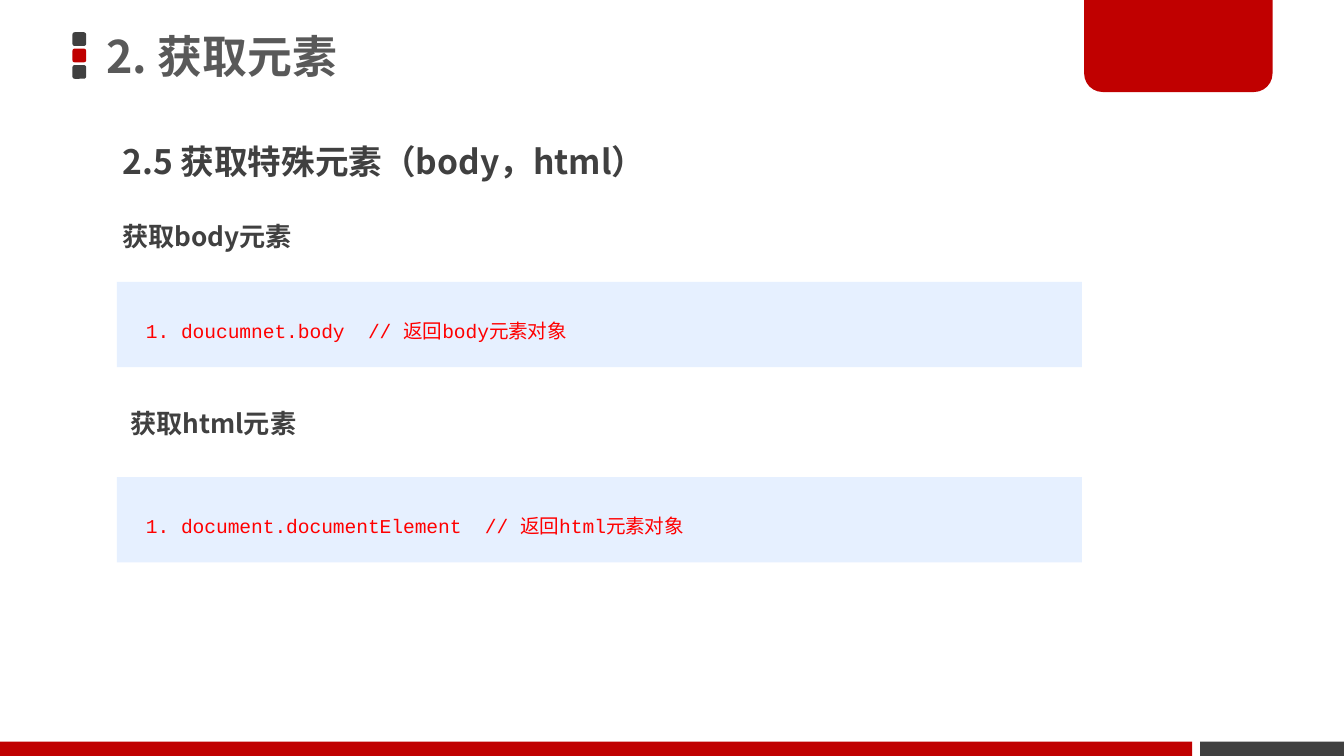
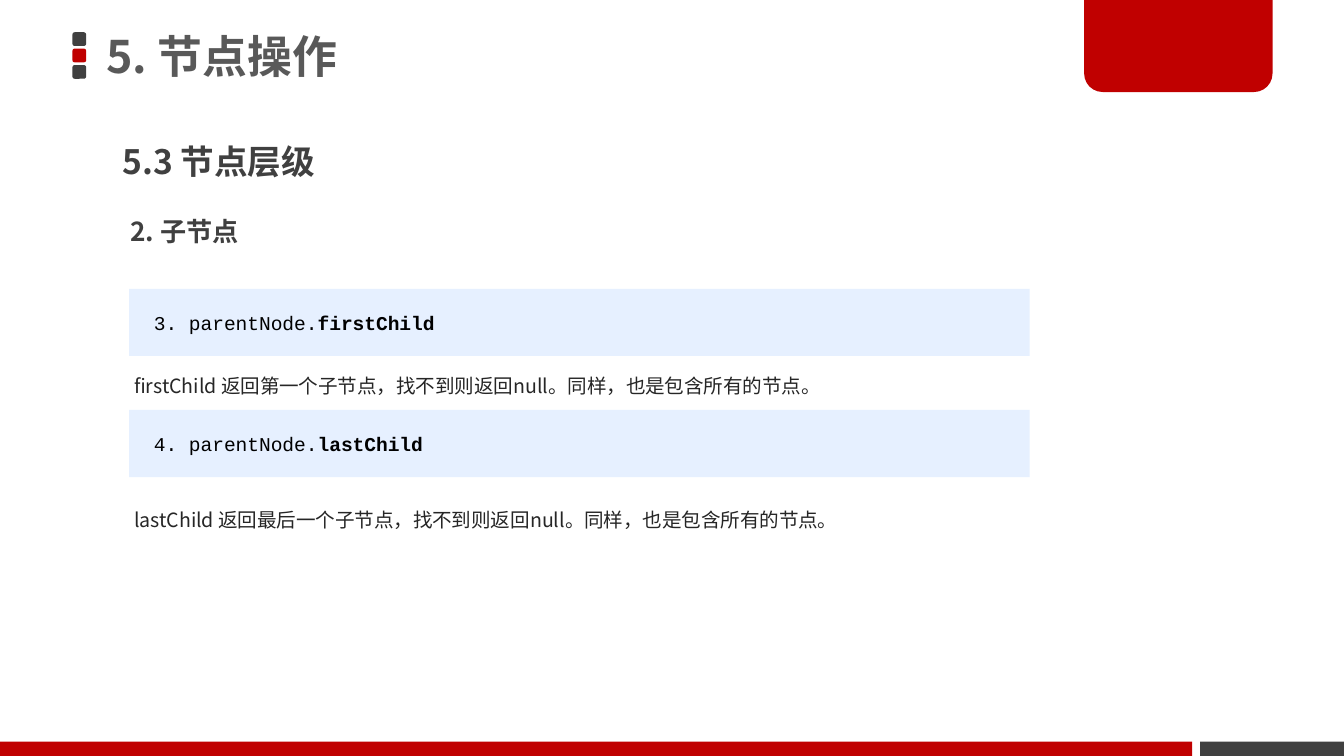
from pptx import Presentation
from pptx.dml.color import RGBColor
from pptx.enum.shapes import MSO_SHAPE
from pptx.enum.text import MSO_ANCHOR, MSO_AUTO_SIZE, PP_ALIGN
from pptx.oxml.ns import qn
from pptx.util import Cm, Pt
from lxml import etree

RECTANGLE = MSO_SHAPE.RECTANGLE
ROUNDED = MSO_SHAPE.ROUNDED_RECTANGLE
ROUND_TWO = MSO_SHAPE.ROUND_2_SAME_RECTANGLE
TOP, MIDDLE = MSO_ANCHOR.TOP, MSO_ANCHOR.MIDDLE
LEFT = PP_ALIGN.LEFT
NO_FIT = MSO_AUTO_SIZE.NONE

COLORS = {"red": "C00000", "dark": "404040", "title": "595959", "text": "262626",
          "panel": "E6F0FF", "code_red": "FF0000", "code_black": "000000"}
SANS, MONO, CHINESE = "Noto Sans CJK SC", "Courier New", "Noto Sans CJK SC"

# Text styles: font, size, bold, colour, line spacing, space before, anchor
STYLES = {
    "title": (SANS, 24, True, "title", 0.9, 0, MIDDLE),
    "section": (SANS, 18, True, "dark", 0.9, 7.5, TOP),
    "label": (SANS, 14, True, "dark", 0.9, 7.5, TOP),
    "caption": (SANS, 10.5, False, "text", 1.5, 7.5, TOP),
    "comment": (MONO, 10.5, False, "code_red", 1.5, 0, MIDDLE),
    "code": (MONO, 10.5, False, "code_black", 1.0, 0, MIDDLE),
}
CODE_INDENT = {"comment": 0.3, "code": 0.22}


def add_filled(slide, kind, box, color):
    shape = slide.shapes.add_shape(kind, *map(Cm, box))
    shape.shadow.inherit = False
    shape.fill.solid()
    shape.fill.fore_color.rgb = RGBColor.from_string(COLORS[color])
    shape.line.fill.background()
    return shape


def write(shape, text, style, bold_text="", indent=0):
    name, size, bold, color, spacing, before, anchor = STYLES[style]
    frame = shape.text_frame
    frame.word_wrap, frame.auto_size, frame.vertical_anchor = True, NO_FIT, anchor
    paragraph = frame.paragraphs[0]
    paragraph.add_run().text = text
    if bold_text:
        run = paragraph.add_run()
        run.text, run.font.bold = bold_text, True
    paragraph.alignment = LEFT
    paragraph.line_spacing, paragraph.space_before = spacing, Pt(before)
    font = paragraph.font
    font.name, font.size, font.bold = name, Pt(size), bold
    font.color.rgb = RGBColor.from_string(COLORS[color])
    # East Asian font, indent and no bullet
    properties = paragraph._p.pPr
    defaults = properties.find(qn("a:defRPr"))
    etree.SubElement(defaults, qn("a:ea")).set("typeface", CHINESE)
    properties.set("marL", str(Cm(indent)))
    properties.set("indent", "0")
    defaults.addprevious(etree.Element(qn("a:buNone")))


# Content: title, section, then items of style, box, text and bold ending
SLIDES = [
    ("2. 获取元素", "2.5 获取特殊元素（body，html）", [
        ("label", (2.06, 4.11, 18.11, 0.79), "获取body元素", ""),
        ("comment", (2.21, 5.33, 18.24, 1.61), "1. doucumnet.body  // 返回body元素对象", ""),
        ("label", (2.21, 7.65, 18.11, 0.79), "获取html元素", ""),
        ("comment", (2.21, 9.02, 18.24, 1.61),
         "1. document.documentElement  // 返回html元素对象", ""),
    ]),
    ("5. 节点操作", "5.3 节点层级", [
        ("label", (2.21, 4.01, 18.11, 1.07), "2. 子节点", ""),
        ("code", (2.44, 5.46, 17.02, 1.27), "3. parentNode.", "firstChild"),
        ("caption", (2.29, 6.73, 18.03, 0.97),
         "firstChild 返回第一个子节点，找不到则返回null。同样，也是包含所有的节点。", ""),
        ("code", (2.44, 7.75, 17.02, 1.27), "4. parentNode.", "lastChild"),
        ("caption", (2.29, 9.25, 18.03, 0.97),
         "lastChild 返回最后一个子节点，找不到则返回null。同样，也是包含所有的节点。", ""),
    ]),
]

presentation = Presentation()
presentation.slide_width, presentation.slide_height = Cm(25.4), Cm(14.29)
layout = presentation.slide_layouts[1]
slides = [presentation.slides.add_slide(layout) for _ in SLIDES]

# Shared decoration: drawn once, then moved to the layout
decoration = []
for row, color in enumerate(("dark", "red", "dark")):
    decoration.append(add_filled(slides[0], ROUNDED, (1.37, 0.61 + row * 0.31, 0.26, 0.26), color))
tab = add_filled(slides[0], ROUND_TWO, (20.49, 0, 3.56, 1.74), "red")
tab.adjustments[0], tab.adjustments[1] = 0, 0.2
decoration.append(tab)
decoration.append(add_filled(slides[0], RECTANGLE, (0, 14.02, 22.53, 0.27), "red"))
decoration.append(add_filled(slides[0], RECTANGLE, (22.68, 14.02, 2.72, 0.27), "dark"))
for shape in decoration:
    layout.shapes.element.append(shape.element)

# Slides
for slide, (title, section, items) in zip(slides, SLIDES):
    headings = (
        (slide.shapes.title, title, "title", (1.76, 0, 18.72, 2.21)),
        (slide.placeholders[1], section, "section", (2.06, 2.62, 18.11, 1.5)),
    )
    for shape, text, style, box in headings:
        shape.left, shape.top, shape.width, shape.height = map(Cm, box)
        write(shape, text, style)
    for style, box, text, bold_text in items:
        if style in CODE_INDENT:
            shape = add_filled(slide, RECTANGLE, box, "panel")
        else:
            shape = slide.shapes.add_textbox(*map(Cm, box))
        write(shape, text, style, bold_text, CODE_INDENT.get(style, 0))

presentation.save("out.pptx")
